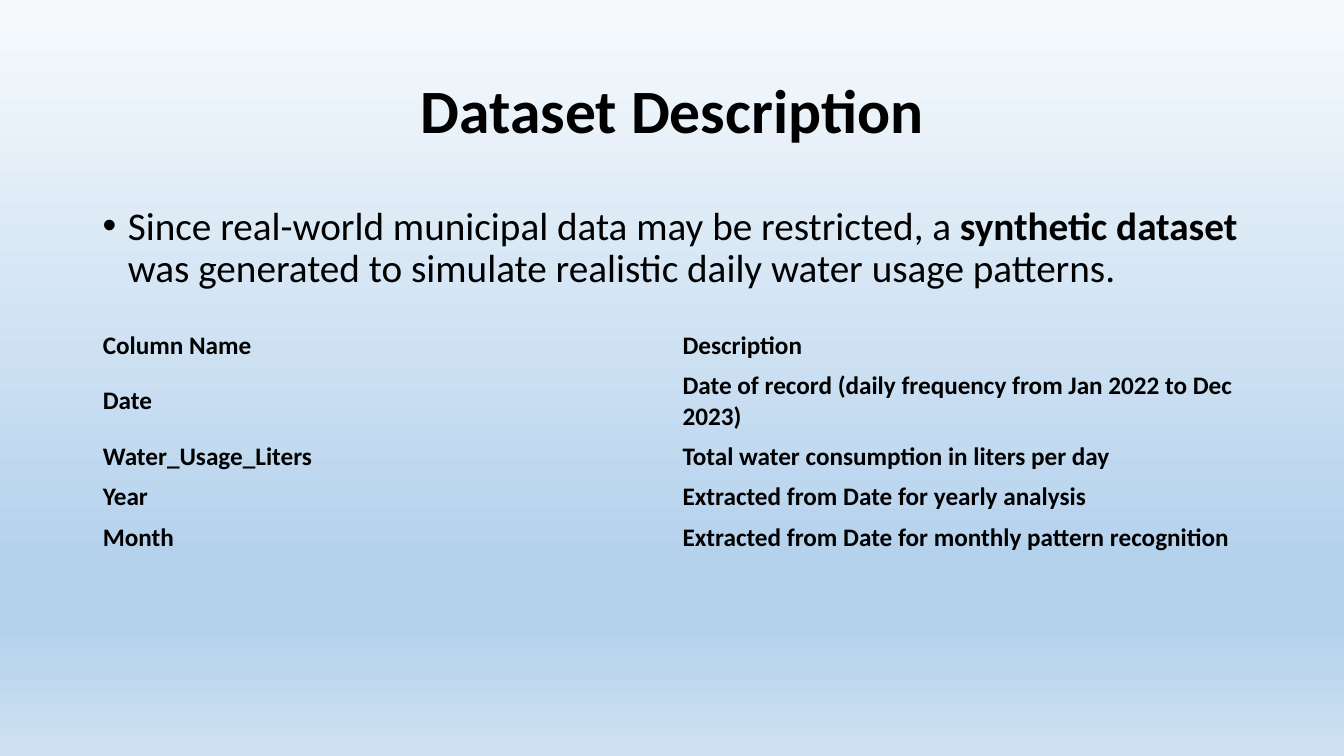
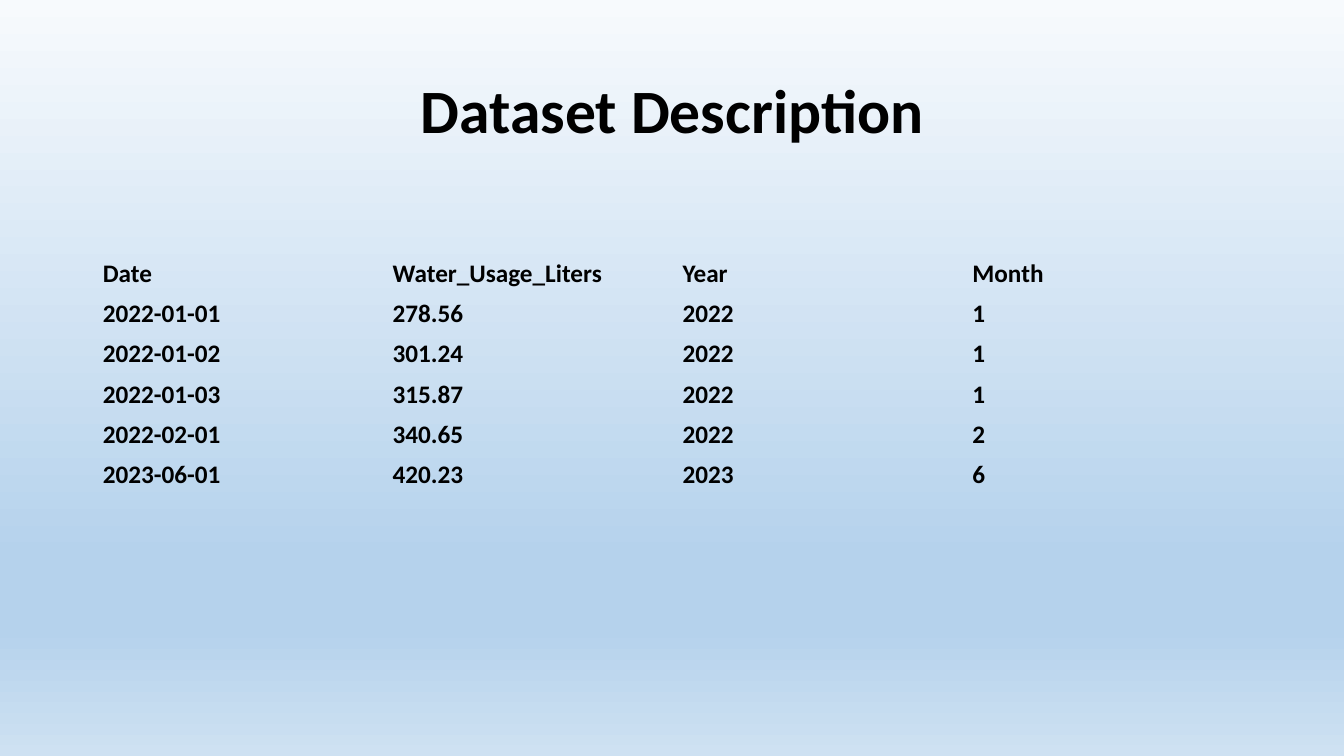
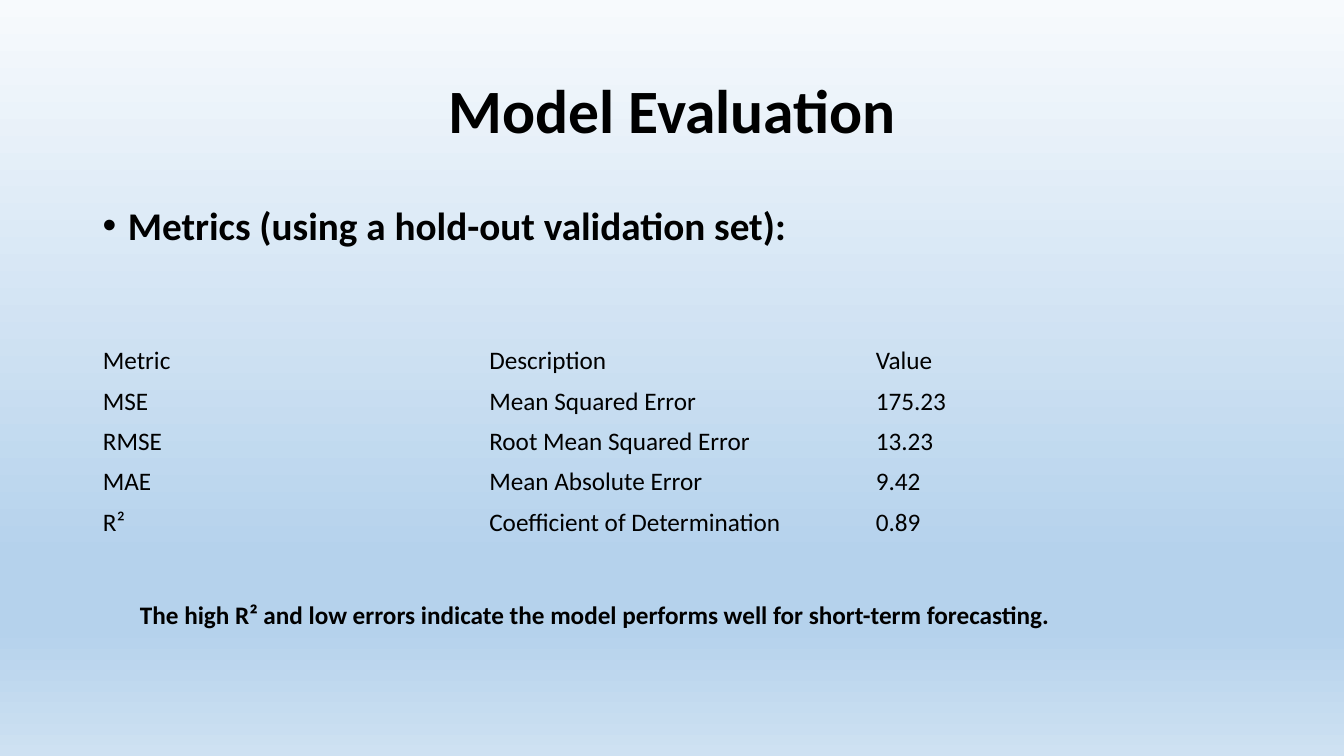
from lxml import etree
from pptx import Presentation
from pptx.dml.color import RGBColor
from pptx.enum.text import MSO_ANCHOR, PP_ALIGN
from pptx.oxml.ns import qn
from pptx.util import Inches, Pt

MIDDLE = MSO_ANCHOR.MIDDLE
CENTER = PP_ALIGN.CENTER
BLACK = RGBColor(0, 0, 0)
FONT = "Calibri"
LEFT, WIDTH, ROW = 0.92, 11.5, 0.4
STOPS = [(0, "F7FAFD"), (74, "B5D2EC"), (83, "B5D2EC"), (100, "CEE1F2")]
PLAIN = "{2D5ABB26-0587-4C30-8999-92F81FD0307C}"  # table style without grid

SLIDES = [
    {
        "title": "Dataset Description",
        "body": [
            ("Since real-world municipal data may be restricted, a ", False),
            ("synthetic dataset", True),
            (" was generated to simulate realistic daily water usage patterns.", False),
        ],
        "top": 3.23,
        "bold": True,
        "rows": [
            ("Column Name", "Description"),
            ("Date", "Date of record (daily frequency from Jan 2022 to Dec 2023)"),
            ("Water_Usage_Liters", "Total water consumption in liters per day"),
            ("Year", "Extracted from Date for yearly analysis"),
            ("Month", "Extracted from Date for monthly pattern recognition"),
        ],
    },
    {
        "title": "Dataset Description",
        "top": 2.51,
        "bold": True,
        "rows": [
            ("Date", "Water_Usage_Liters", "Year", "Month"),
            ("2022-01-01", "278.56", "2022", "1"),
            ("2022-01-02", "301.24", "2022", "1"),
            ("2022-01-03", "315.87", "2022", "1"),
            ("2022-02-01", "340.65", "2022", "2"),
            ("2023-06-01", "420.23", "2023", "6"),
        ],
    },
    {
        "title": "Model Evaluation",
        "body": [("Metrics (using a hold-out validation set):", True)],
        "top": 3.38,
        "bold": False,
        "rows": [
            ("Metric", "Description", "Value"),
            ("MSE", "Mean Squared Error", "175.23"),
            ("RMSE", "Root Mean Squared Error", "13.23"),
            ("MAE", "Mean Absolute Error", "9.42"),
            ("R²", "Coefficient of Determination", "0.89"),
        ],
        "note": "The high R² and low errors indicate the model performs well "
                "for short-term forecasting.",
    },
]


def style(para, size, bold=None):
    font = para.font
    font.name, font.size, font.bold = FONT, Pt(size), bold
    font.color.rgb = BLACK


def add_box(slide, left, top, width, height):
    """Add a wrapping text box; return its frame and first paragraph."""
    box = slide.shapes.add_textbox(
        Inches(left), Inches(top), Inches(width), Inches(height))
    frame = box.text_frame
    frame.word_wrap = True
    return frame, frame.paragraphs[0]


prs = Presentation()
prs.slide_width, prs.slide_height = Inches(13.33), Inches(7.5)

# Shared background gradient
master = prs.slide_master
fill = master.background.fill
fill.gradient()
fill.gradient_angle = 270
stops = master.element.find(".//" + qn("a:gsLst"))
for stop in list(stops):
    stops.remove(stop)
for pos, color in STOPS:
    stop = etree.SubElement(stops, qn("a:gs"), pos=str(pos * 1000))
    etree.SubElement(stop, qn("a:srgbClr"), val=color)

for item in SLIDES:
    slide = prs.slides.add_slide(prs.slide_layouts[6])

    frame, para = add_box(slide, LEFT, 0.4, WIDTH, 1.45)
    frame.vertical_anchor = MIDDLE
    para.text = item["title"]
    para.alignment = CENTER
    para.line_spacing = 0.9
    style(para, 44, True)

    if "body" in item:
        frame, para = add_box(slide, LEFT, 2, WIDTH, 4.76)
        para.line_spacing = 0.9
        props = para._p.get_or_add_pPr()
        props.set("marL", str(Inches(0.25)))
        props.set("indent", str(Inches(-0.25)))
        etree.SubElement(props, qn("a:buFont"), typeface="Arial")
        etree.SubElement(props, qn("a:buChar"), char="•")
        style(para, 28)
        for text, bold in item["body"]:
            run = para.add_run()
            run.text = text
            run.font.bold = bold

    rows = item["rows"]
    count = len(rows[0])
    table = slide.shapes.add_table(
        len(rows), count, Inches(LEFT), Inches(item["top"]),
        Inches(WIDTH), Inches(ROW * len(rows))).table
    table.first_row = table.horz_banding = False
    table._tbl.tblPr.find(qn("a:tableStyleId")).text = PLAIN
    for col in table.columns:
        col.width = Inches(WIDTH / count)
    for r, row in enumerate(rows):
        for c, text in enumerate(row):
            cell = table.cell(r, c)
            cell.fill.background()
            cell.vertical_anchor = MIDDLE
            cell.text = text
            style(cell.text_frame.paragraphs[0], 18, item["bold"])

    if "note" in item:
        frame, para = add_box(slide, 1.29, 5.9, 10.5, 0.4)
        para.text = item["note"]
        style(para, 18, True)

prs.save("out.pptx")
